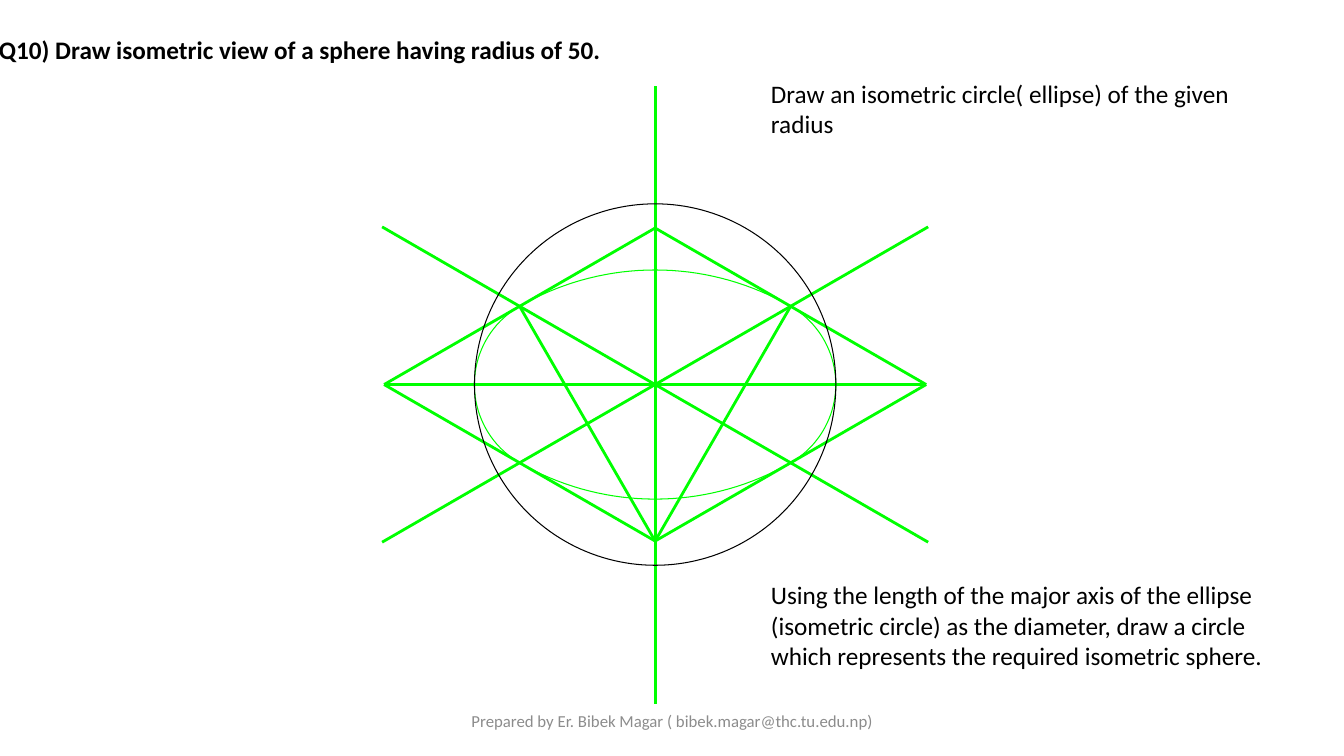
import math
from dataclasses import dataclass

from lxml import etree
from pptx import Presentation
from pptx import util as u
from pptx.dml.color import RGBColor
from pptx.enum import shapes, text
from pptx.oxml.ns import qn

TITLE = "Q10) Draw isometric view of a sphere having radius of 50."
FOOTER = "Prepared by Er. Bibek Magar ( bibek.magar@thc.tu.edu.np)"
STEPS = [  # wording, box in cm
    ("Draw an isometric circle( ellipse) of the given radius",
     (19.18, 1.85, 12.17, 1.8)),
    ("Using the length of the major axis of the ellipse (isometric circle) as "
     "the diameter, draw a circle which represents the required isometric sphere.",
     (19.18, 14.48, 13.23, 2.57)),
]
TITLE_BOX = (-0.28, 0.74, 24.46, 1.02)
FOOTER_BOX = (11.23, 17.65, 11.43, 1.02)


@dataclass(frozen=True)
class Theme:
    font: str = "Calibri"
    ink: RGBColor = RGBColor(0, 0, 0)
    muted: RGBColor = RGBColor(0x8C, 0x8C, 0x8C)
    construction: RGBColor = RGBColor(0, 0xFF, 0)
    body_size: int = 18
    footer_size: int = 12


THEME = Theme()

# Isometric construction, in cm from the centre of the sphere
CENTRE = (16.51, 9.69)
HALF_WIDTH = 6.83
HALF_HEIGHT = HALF_WIDTH / math.sqrt(3)
SMALL_RADIUS = HALF_WIDTH / 3
SPHERE_RADIUS = 2 * SMALL_RADIUS
AXIS_X = 6.88
AXIS_Y = AXIS_X / math.sqrt(3)

LEFT, RIGHT = (-HALF_WIDTH, 0), (HALF_WIDTH, 0)
TOP, BOTTOM = (0, -HALF_HEIGHT), (0, HALF_HEIGHT)
UPPER_LEFT = (-HALF_WIDTH / 2, -HALF_HEIGHT / 2)
UPPER_RIGHT = (HALF_WIDTH / 2, -HALF_HEIGHT / 2)

LINES = [
    ((-AXIS_X, AXIS_Y), (AXIS_X, -AXIS_Y)),
    ((0, 8.04), (0, -7.51)),
    ((AXIS_X, AXIS_Y), (-AXIS_X, -AXIS_Y)),
    (TOP, LEFT), (LEFT, BOTTOM), (BOTTOM, RIGHT), (TOP, RIGHT),
    (LEFT, RIGHT),
    (BOTTOM, UPPER_LEFT), (BOTTOM, UPPER_RIGHT),
]
ARCS = [  # centre, radius, start and end in degrees, segments
    (BOTTOM, HALF_WIDTH, -60, -120, 34),
    ((SMALL_RADIUS, 0), SMALL_RADIUS, 60, -60, 39),
    (TOP, HALF_WIDTH, 120, 60, 34),
    ((-SMALL_RADIUS, 0), SMALL_RADIUS, 240, 120, 39),
]


def place(point):
    """Turn a point measured from the centre into slide coordinates."""
    return tuple(u.Cm(origin + offset) for origin, offset in zip(CENTRE, point))


def hairline(shape, color):
    shape.line.color.rgb = color
    shape.line.width = u.Pt(0)


def outline(shape, color):
    shape.shadow.inherit = False
    shape.fill.background()
    hairline(shape, color)


def draw_line(page, start, end):
    line = page.shapes.add_connector(
        shapes.MSO_CONNECTOR.STRAIGHT, *place(start), *place(end))
    hairline(line, THEME.construction)
    etree.SubElement(line._element.spPr, qn("a:effectLst"))


def draw_arc(page, centre, radius, start, end, segments):
    points = []
    for step in range(segments + 1):
        angle = math.radians(start + (end - start) * step / segments)
        points.append(place((centre[0] + radius * math.cos(angle),
                             centre[1] + radius * math.sin(angle))))
    builder = page.shapes.build_freeform(*points[0])
    builder.add_line_segments(points[1:], close=False)
    outline(builder.convert_to_shape(), THEME.construction)


def draw_sphere(page):
    corner = place((-SPHERE_RADIUS, -SPHERE_RADIUS))
    size = u.Cm(2 * SPHERE_RADIUS)
    circle = page.shapes.add_shape(shapes.MSO_SHAPE.OVAL, *corner, size, size)
    outline(circle, THEME.ink)


def write(box, wording, size, color, bold=False,
          align=text.PP_ALIGN.LEFT, anchor=text.MSO_ANCHOR.TOP):
    frame = box.text_frame
    frame.text = wording
    frame.word_wrap = True
    frame.auto_size = text.MSO_AUTO_SIZE.NONE
    frame.vertical_anchor = anchor
    para = frame.paragraphs[0]
    para.alignment = align
    para.font.name = THEME.font
    para.font.size = u.Pt(size)
    para.font.bold = bold
    para.font.color.rgb = color


def add_text(page, box, *args, **kwargs):
    write(page.shapes.add_textbox(*map(u.Cm, box)), *args, **kwargs)


def main():
    deck = Presentation()
    deck.slide_width, deck.slide_height = u.Cm(33.87), u.Cm(19.05)
    page = deck.slides.add_slide(deck.slide_layouts.get_by_name("Title Only"))

    title = page.shapes.title
    title.left, title.top, title.width, title.height = map(u.Cm, TITLE_BOX)
    write(title, TITLE, THEME.body_size, THEME.ink, bold=True)
    add_text(page, FOOTER_BOX, FOOTER, THEME.footer_size, THEME.muted,
             align=text.PP_ALIGN.CENTER, anchor=text.MSO_ANCHOR.MIDDLE)

    for start, end in LINES:
        draw_line(page, start, end)
    for arc in ARCS:
        draw_arc(page, *arc)
    draw_sphere(page)

    for wording, box in STEPS:
        add_text(page, box, wording, THEME.body_size, THEME.ink)
    deck.save("out.pptx")


if __name__ == "__main__":
    main()
